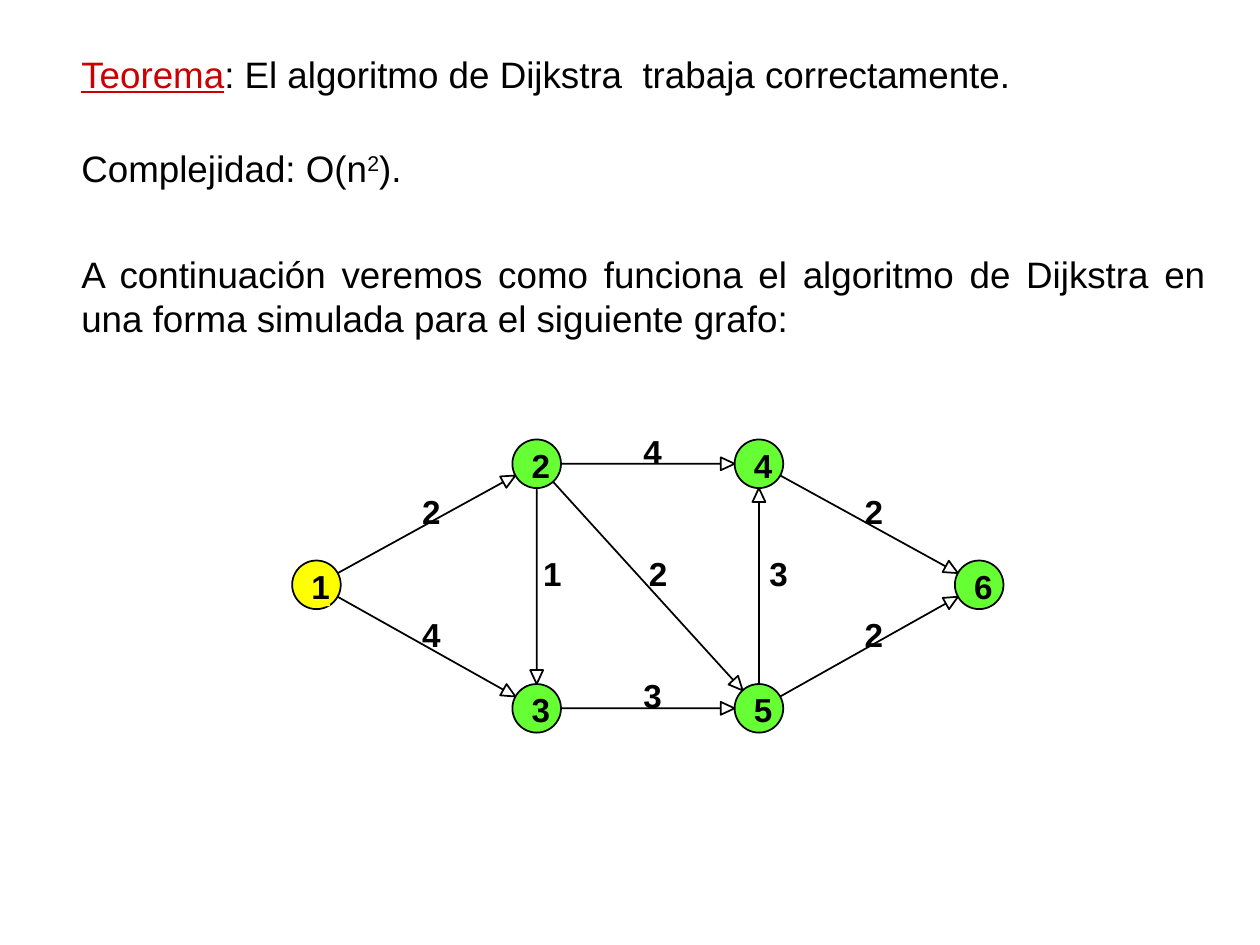
"""Build the slide that introduces Dijkstra's algorithm with a weighted graph."""
import math

import pptx
import pptx.dml.color
import pptx.enum.shapes
import pptx.enum.text
import pptx.util

Cm = pptx.util.Cm
Pt = pptx.util.Pt
RGB = pptx.dml.color.RGBColor
BLACK = RGB(0x00, 0x00, 0x00)
RED = RGB(0xCC, 0x00, 0x00)
GREEN = RGB(0x66, 0xFF, 0x33)
YELLOW = RGB(0xFF, 0xFF, 0x00)

BODY = {"name": "Arial", "size": Pt(21)}
LABEL = {"name": "Arial", "size": Pt(19), "bold": True}

PARAGRAPHS = [
    (0.84, 1.47, [("Teorema", RED, None),
                  (": El algoritmo de Dijkstra  trabaja correctamente.", BLACK, None)]),
    (2.74, 1.47, [("Complejidad: O(n", BLACK, None), ("2", BLACK, "30000"), (").", BLACK, None)]),
    (4.88, 2.11, [("A continuación veremos como funciona el algoritmo de Dijkstra en "
                   "una forma simulada para el siguiente grafo:", BLACK, None)]),
]

NODES = {
    "1": (6.38, 11.79, YELLOW),
    "2": (10.82, 9.35, GREEN),
    "3": (10.82, 14.28, GREEN),
    "4": (15.3, 9.35, GREEN),
    "5": (15.3, 14.28, GREEN),
    "6": (19.74, 11.79, GREEN),
}

EDGES = [
    ("1", "2", "2", -0.09), ("2", "4", "4", -0.09), ("2", "5", "2", 0.02),
    ("2", "3", "1", 0.13), ("3", "5", "3", -0.09), ("1", "3", "4", -0.09),
    ("4", "6", "2", -0.09), ("5", "4", "3", 0.21), ("5", "6", "2", -0.09),
]

RADIUS = 0.49
HEAD_LENGTH, HEAD_HALF = 0.28, 0.13
LABEL_W, LABEL_H = 0.37, 0.81


def set_format(obj, values):
    for key, value in values.items():
        setattr(obj, key, value)


def add_body(s, top, height, runs):
    tf = s.shapes.add_textbox(Cm(0.43), Cm(top), Cm(24.13), Cm(height)).text_frame
    set_format(tf, {"word_wrap": True, "margin_top": Cm(0.2)})
    p = tf.paragraphs[0]
    p.alignment = pptx.enum.text.PP_ALIGN.JUSTIFY
    p._p.get_or_add_pPr().set("marL", str(Cm(0.96)))
    for text, color, baseline in runs:
        r = p.add_run()
        r.text = text
        set_format(r.font, {**BODY, "underline": color == RED})
        r.font.color.rgb = color
        if baseline:
            r.font._element.set("baseline", baseline)


def add_label(s, x, y, text, fill=None):
    sp = s.shapes.add_textbox(Cm(x), Cm(y), Cm(LABEL_W), Cm(LABEL_H))
    if fill:
        sp.fill.solid()
        sp.fill.fore_color.rgb = fill
    tf = sp.text_frame
    set_format(tf, {"margin_left": 0, "margin_right": 0, "margin_top": 0,
                    "margin_bottom": 0, "word_wrap": False})
    r = tf.paragraphs[0].add_run()
    r.text = text
    set_format(r.font, LABEL)
    r.font.color.rgb = BLACK


def set_outline(sp):
    sp.shadow.inherit = False
    sp.line.color.rgb = BLACK
    sp.line.width = Pt(1)


def add_node(s, name, x, y, color):
    sp = s.shapes.add_shape(pptx.enum.shapes.MSO_SHAPE.OVAL, Cm(x - RADIUS), Cm(y - RADIUS),
                            Cm(2 * RADIUS), Cm(2 * RADIUS))
    sp.fill.solid()
    sp.fill.fore_color.rgb = color
    set_outline(sp)
    add_label(s, x - 0.1, y - 0.38, name, YELLOW if color == YELLOW else None)


def add_edge(s, start, end, weight, dx):
    (x1, y1, _), (x2, y2, _) = NODES[start], NODES[end]
    length = math.dist((x1, y1), (x2, y2))
    ux, uy = (x2 - x1) / length, (y2 - y1) / length

    def point(along, across=0):
        return Cm(x1 + along * ux - across * uy), Cm(y1 + along * uy + across * ux)

    tip = length - RADIUS
    neck = tip - HEAD_LENGTH
    fb = s.shapes.build_freeform(*point(RADIUS))
    fb.add_line_segments([point(neck), point(neck, HEAD_HALF), point(tip),
                          point(neck, -HEAD_HALF), point(neck)], close=True)
    sp = fb.convert_to_shape()
    sp.fill.background()
    set_outline(sp)
    add_label(s, (x1 + x2) / 2 + dx, (y1 + y2) / 2 - 0.66, weight)


def main():
    prs = pptx.Presentation()
    prs.slide_width, prs.slide_height = Cm(25.4), Cm(19.05)
    s = prs.slides.add_slide(prs.slide_layouts[6])
    for top, height, runs in PARAGRAPHS:
        add_body(s, top, height, runs)
    for edge in EDGES:
        add_edge(s, *edge)
    for name, node in NODES.items():
        add_node(s, name, *node)
    prs.save("out.pptx")


if __name__ == "__main__":
    main()
